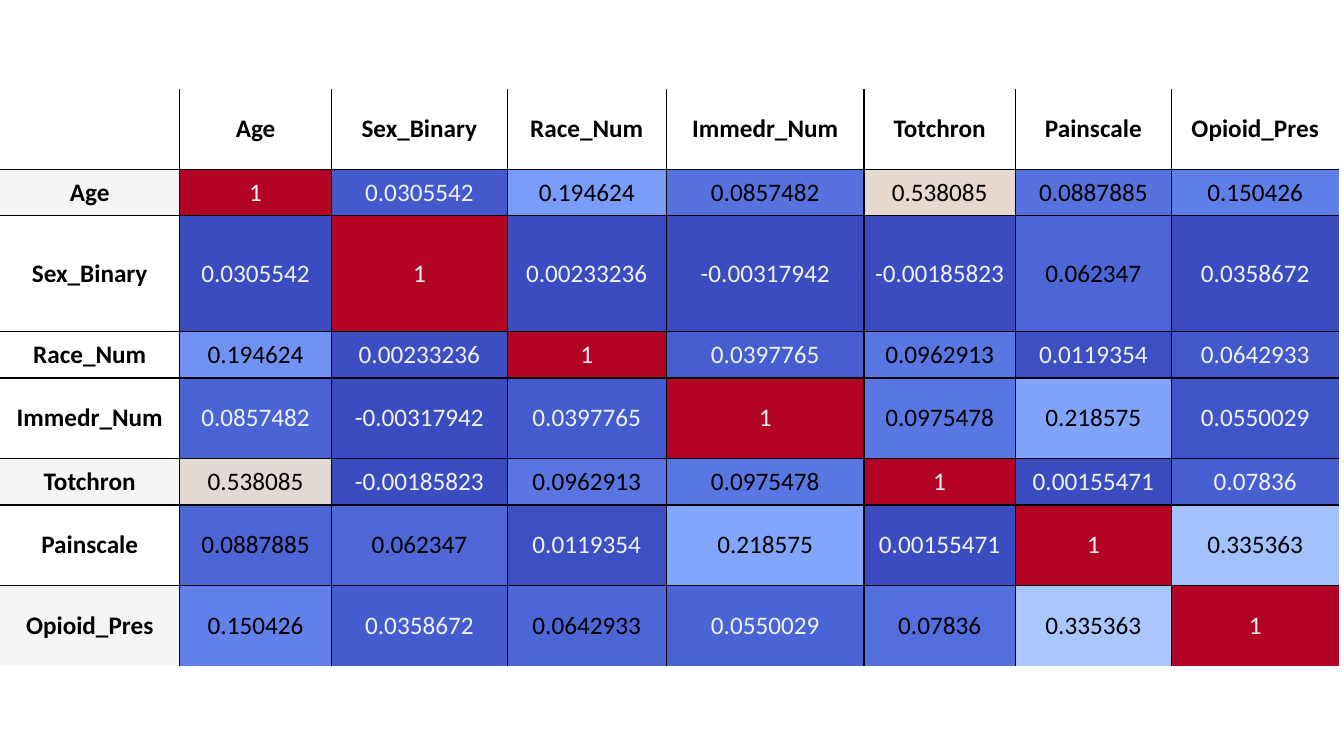
from dataclasses import dataclass

import pptx
import pptx.dml.color
import pptx.enum.text
import pptx.oxml
import pptx.oxml.ns
import pptx.table
import pptx.util

Inches = pptx.util.Inches
RGB = pptx.dml.color.RGBColor


@dataclass(frozen=True)
class Theme:
    font: str = "Calibri"
    size: int = 18
    line: int = 1
    dark: str = "000000"
    light: str = "F1F1F1"
    white: str = "FFFFFF"
    band: str = "F5F5F5"


@dataclass(frozen=True)
class Row:
    name: str
    height: float
    fill: str
    values: str
    shades: str


THEME = Theme()
HEAD = 0.8
WIDTHS = (1.78, 1.51, 1.74, 1.58, 1.96, 1.5, 1.55, 1.66)

# Correlations and their heat colours
ROWS = (
    Row("Age", 0.46, THEME.band,
        "1 0.0305542 0.194624 0.0857482 0.538085 0.0887885 0.150426",
        "B40426 445ACC 799CF8 5572DF E6D7CF 5572DF 5F7FE8"),
    Row("Sex_Binary", 1.15, THEME.white,
        "0.0305542 1 0.00233236 -0.00317942 -0.00185823 0.062347 0.0358672",
        "3B4CC0 B40426 3B4CC0 3B4CC0 3B4CC0 4C66D6 3B4CC0"),
    Row("Race_Num", 0.46, THEME.white,
        "0.194624 0.00233236 1 0.0397765 0.0962913 0.0119354 0.0642933",
        "7093F3 3C4EC2 B40426 465ECF 5977E3 3D50C3 4358CB"),
    Row("Immedr_Num", 0.8, THEME.white,
        "0.0857482 -0.00317942 0.0397765 1 0.0975478 0.218575 0.0550029",
        "4B64D5 3B4CC0 455CCE B40426 5977E3 81A4FB 4055C8"),
    Row("Totchron", 0.46, THEME.band,
        "0.538085 -0.00185823 0.0962913 0.0975478 1 0.00155471 0.07836",
        "E3D9D3 3B4CC0 5875E1 5977E3 B40426 3B4CC0 485FD1"),
    Row("Painscale", 0.8, THEME.white,
        "0.0887885 0.062347 0.0119354 0.218575 0.00155471 1 0.335363",
        "4C66D6 4E68D8 3D50C3 82A6FB 3B4CC0 B40426 A2C1FF"),
    Row("Opioid_Pres", 0.8, THEME.band,
        "0.150426 0.0358672 0.0642933 0.0550029 0.07836 0.335363 1",
        "6180E9 455CCE 4C66D6 4B64D5 536EDD AAC7FD B40426"),
)


def ink(fill: str) -> str:
    """Pick dark text on the lighter fills, judged by their green part."""
    return THEME.dark if int(fill[2:4], 16) >= 0x66 else THEME.light


def edge(cell: pptx.table._Cell, side: str, shown: bool) -> None:
    paint = (f'<a:solidFill><a:srgbClr val="{THEME.dark}"/></a:solidFill>'
             if shown else "<a:noFill/>")
    width = pptx.util.Pt(THEME.line)
    cell._tc.get_or_add_tcPr().append(pptx.oxml.parse_xml(
        f'<a:ln{side} {pptx.oxml.ns.nsdecls("a")} w="{width}">{paint}</a:ln{side}>'))


def paint(grid: pptx.table.Table, row: int, col: int, text: str,
          fill: str, bold: bool) -> None:
    cell = grid.cell(row, col)
    # Rules run only between cells
    edge(cell, "L", col > 0)
    edge(cell, "R", col < len(WIDTHS) - 1)
    edge(cell, "T", row > 0)
    edge(cell, "B", row < len(ROWS))
    cell.fill.solid()
    cell.fill.fore_color.rgb = RGB.from_string(fill)
    cell.margin_left = cell.margin_right = Inches(0.05)
    cell.vertical_anchor = pptx.enum.text.MSO_ANCHOR.MIDDLE
    if not text:
        return
    para = cell.text_frame.paragraphs[0]
    para.alignment = pptx.enum.text.PP_ALIGN.CENTER
    run = para.add_run()
    run.text = text
    run.font.name = THEME.font
    run.font.size = pptx.util.Pt(THEME.size)
    run.font.bold = bold
    run.font.color.rgb = RGB.from_string(ink(fill))


def main() -> None:
    deck = pptx.Presentation()
    deck.slide_width, deck.slide_height = Inches(13.33), Inches(7.5)
    slide = deck.slides.add_slide(deck.slide_layouts[6])

    # Table frame
    heights = [HEAD] + [row.height for row in ROWS]
    grid = slide.shapes.add_table(
        len(heights), len(WIDTHS), Inches(0), Inches(0.88),
        Inches(sum(WIDTHS)), Inches(sum(heights))).table
    grid.first_row = grid.horz_banding = False
    for column, width in zip(grid.columns, WIDTHS):
        column.width = Inches(width)
    for line, height in zip(grid.rows, heights):
        line.height = Inches(height)

    # Header row
    for col, name in enumerate([""] + [row.name for row in ROWS]):
        paint(grid, 0, col, name, THEME.white, True)

    # Matrix rows
    for num, row in enumerate(ROWS, 1):
        paint(grid, num, 0, row.name, row.fill, True)
        pairs = zip(row.values.split(), row.shades.split())
        for col, (value, shade) in enumerate(pairs, 1):
            paint(grid, num, col, value, shade, False)

    deck.save("out.pptx")


if __name__ == "__main__":
    main()
